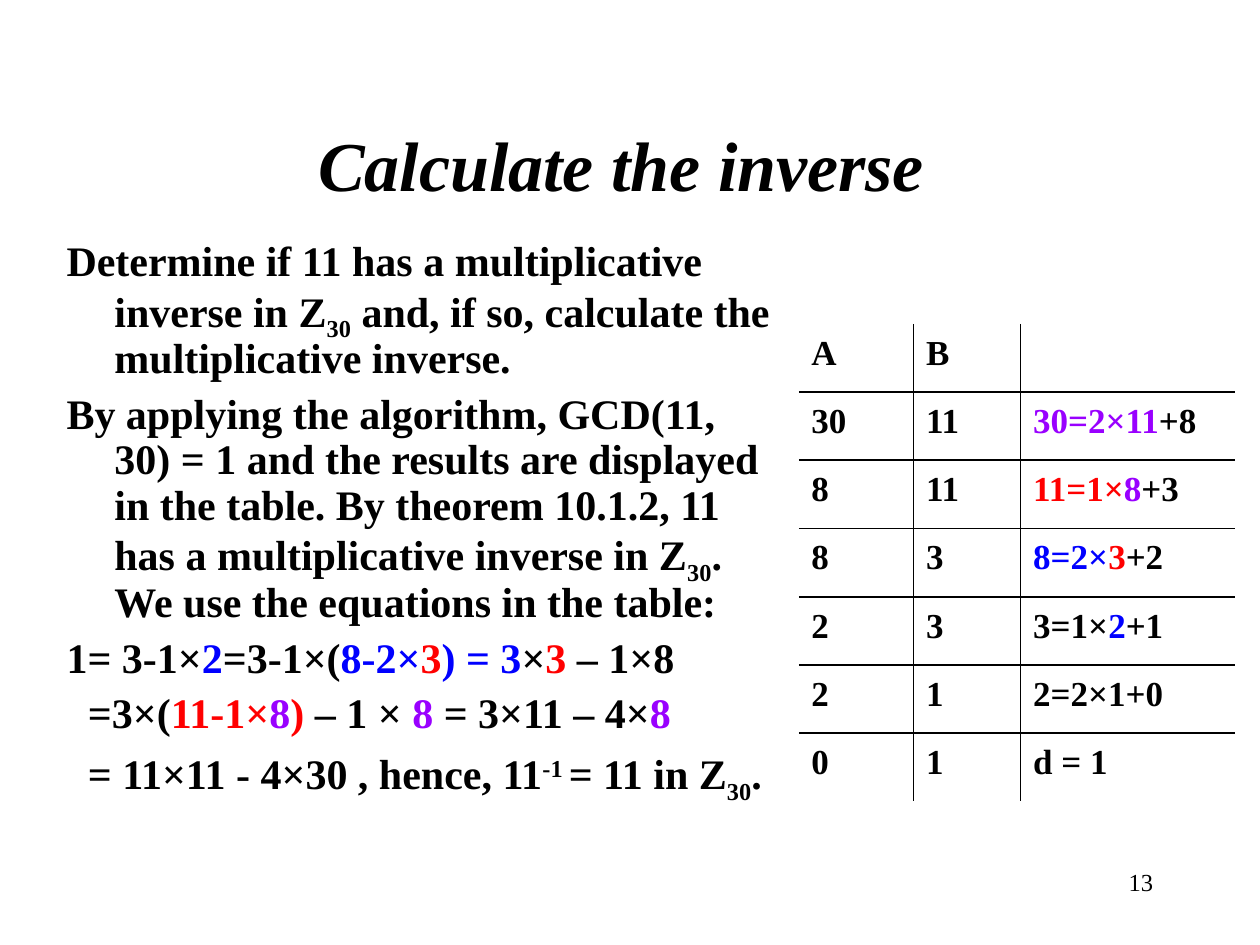
from itertools import accumulate

from lxml import etree
from pptx import Presentation
from pptx import util as u
from pptx.dml.color import RGBColor
from pptx.enum import shapes, text
from pptx.oxml.ns import qn

FONT = "Times New Roman"
BLACK, BLUE, RED, PURPLE = "000000", "0000FF", "FF0000", "9900FF"
SUBSCRIPT, SUPERSCRIPT = -25000, 30000

STATEMENTS = [
    [("Determine if 11 has a multiplicative inverse in Z",), ("30", BLACK, SUBSCRIPT),
     (" and, if so, calculate the multiplicative inverse.",)],
    [("By applying the algorithm, GCD(11, 30) = 1 and the results are displayed in the table. "
      "By theorem 10.1.2, 11 has a multiplicative inverse in Z",), ("30", BLACK, SUBSCRIPT),
     (". We use the equations in the table:",)],
    [("1= 3-1×",), ("2", BLUE), ("=3-1×(",), ("8-2×", BLUE), ("3", RED), (") = 3", BLUE),
     ("×",), ("3", RED), (" – 1×8",)],
]
CONTINUATIONS = [
    [("=3×(",), ("11-1×", RED), ("8", PURPLE), (") ", RED), ("– 1 × ",), ("8 ", PURPLE),
     ("= 3×11 – 4×",), ("8", PURPLE)],
    [("= 11×11 - 4×30 , hence, 11",), ("-1 ", BLACK, SUPERSCRIPT), ("= 11 in Z",),
     ("30", BLACK, SUBSCRIPT), (".",)],
]
DIVISION_STEPS = [
    ("A", "B", []),
    ("30", "11", [("30=2×11", PURPLE), ("+8",)]),
    ("8", "11", [("11=1×", RED), ("8", PURPLE), ("+3",)]),
    ("8", "3", [("8=2×", BLUE), ("3", RED), ("+2",)]),
    ("2", "3", [("3=1×",), ("2", BLUE), ("+1",)]),
    ("2", "1", [("2=2×1+0",)]),
    ("0", "1", [("d = 1",)]),
]
TABLE_LEFT, TABLE_TOP, TABLE_HEIGHT = 6.34, 2.57, 3.79
COLUMN_WIDTHS = (0.91, 0.85, 1.7)


def rgb(value):
    """Turn a hex string into a colour."""
    return RGBColor.from_string(value)


def add_run(paragraph, words, color=BLACK, baseline=0, size=24, bold=True, italic=False):
    """Append formatted words to a paragraph."""
    run = paragraph.add_run()
    run.text = words
    run.font.name, run.font.size = FONT, u.Pt(size)
    run.font.bold, run.font.italic = bold, italic
    run.font.color.rgb = rgb(color)
    if baseline:
        run.font._element.set("baseline", str(baseline))


def add_text_box(slide, left, top, width, height):
    """Add a wrapping text box and return its text frame."""
    box = slide.shapes.add_textbox(*map(u.Inches, (left, top, width, height)))
    box.text_frame.word_wrap = True
    return box.text_frame


def set_title(slide, words):
    """Place and fill the title."""
    title = slide.shapes.title
    title.left, title.top = u.Inches(0.75), u.Inches(0.67)
    title.width, title.height = u.Inches(8.5), u.Inches(1.25)
    title.text_frame.vertical_anchor = text.MSO_ANCHOR.MIDDLE
    paragraph = title.text_frame.paragraphs[0]
    paragraph.alignment = text.PP_ALIGN.CENTER
    add_run(paragraph, words, size=40, italic=True)


def add_explanation(slide):
    """Add the hanging paragraphs and the indented equation lines."""
    frame = add_text_box(slide, 0.43, 1.86, 5.83, 5.12)
    for index, parts in enumerate(STATEMENTS + CONTINUATIONS):
        paragraph = frame.add_paragraph() if index else frame.paragraphs[0]
        first_line = -0.38 if index < len(STATEMENTS) else -0.21
        properties = paragraph._p.get_or_add_pPr()
        properties.set("marL", str(u.Inches(0.38)))
        properties.set("indent", str(u.Inches(first_line)))
        paragraph.line_spacing = 0.9
        if index:
            paragraph.space_before = u.Pt(6)
        for part in parts:
            add_run(paragraph, *part)


def clear_cell(cell):
    """Remove the borders and fill of a cell."""
    properties = cell._tc.get_or_add_tcPr()
    for side in ("lnL", "lnR", "lnT", "lnB"):
        border = etree.SubElement(properties, qn(f"a:{side}"))
        etree.SubElement(border, qn("a:noFill"))
    cell.fill.background()


def add_steps_table(slide):
    """Add the table of division steps."""
    table = slide.shapes.add_table(
        len(DIVISION_STEPS), len(COLUMN_WIDTHS), u.Inches(TABLE_LEFT), u.Inches(TABLE_TOP),
        u.Inches(sum(COLUMN_WIDTHS)), u.Inches(TABLE_HEIGHT)
    ).table
    table.first_row = table.horz_banding = False
    for column, width in zip(table.columns, COLUMN_WIDTHS):
        column.width = u.Inches(width)
    for r, (a, b, equation) in enumerate(DIVISION_STEPS):
        for c, parts in enumerate(([(a,)], [(b,)], equation)):
            cell = table.cell(r, c)
            clear_cell(cell)
            cell.margin_top = u.Inches(0.08)
            for part in parts:
                add_run(cell.text_frame.paragraphs[0], *part, size=20)


def add_rule(slide, x1, y1, x2, y2):
    """Add a thin black line."""
    rule = slide.shapes.add_connector(
        shapes.MSO_CONNECTOR.STRAIGHT, *map(u.Inches, (x1, y1, x2, y2)))
    rule.line.color.rgb = rgb(BLACK)
    rule.line.width = u.Pt(1)
    etree.SubElement(rule._element.spPr, qn("a:effectLst"))


def add_table_rules(slide):
    """Add the rules between the rows and columns of the table."""
    right, bottom = TABLE_LEFT + sum(COLUMN_WIDTHS), TABLE_TOP + TABLE_HEIGHT
    for row in range(1, len(DIVISION_STEPS)):
        y = TABLE_TOP + row * TABLE_HEIGHT / len(DIVISION_STEPS)
        add_rule(slide, TABLE_LEFT, y, right, y)
    for offset in accumulate(COLUMN_WIDTHS[:-1]):
        x = TABLE_LEFT + offset
        add_rule(slide, x, TABLE_TOP, x, bottom)


def add_slide_number(slide, number):
    """Add the right-aligned slide number."""
    paragraph = add_text_box(slide, 7.17, 6.83, 2.08, 0.5).paragraphs[0]
    paragraph.alignment = text.PP_ALIGN.RIGHT
    add_run(paragraph, number, size=14, bold=False)


def main():
    """Build and save the slide."""
    presentation = Presentation()
    presentation.slide_width, presentation.slide_height = u.Inches(10), u.Inches(7.5)
    slide = presentation.slides.add_slide(presentation.slide_layouts[5])
    set_title(slide, "Calculate the inverse ")
    add_explanation(slide)
    add_steps_table(slide)
    add_table_rules(slide)
    add_slide_number(slide, "13")
    presentation.save("out.pptx")


if __name__ == "__main__":
    main()
